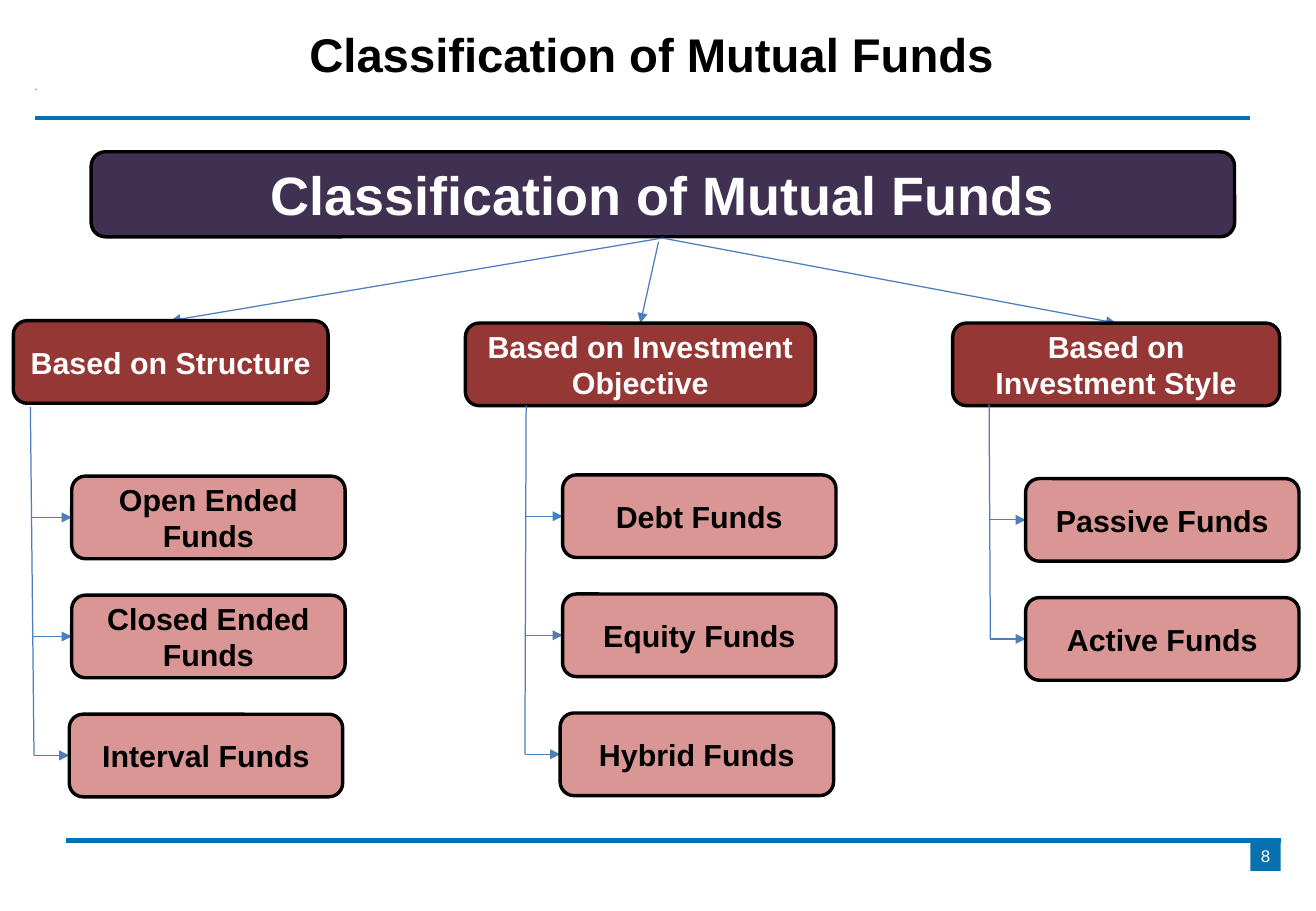
from lxml import etree
from pptx import Presentation
from pptx import util as u
from pptx.dml.color import RGBColor
from pptx.enum import shapes, text
from pptx.oxml.ns import qn

COLOURS = {
    "rule": "0771B0", "root": "403152", "branch": "953735", "fund": "D99694",
    "arrow": "4B7EBC", "black": "000000", "white": "FFFFFF",
}
FONT = "Arial"
BOX_HEIGHT, FUND_WIDTH, FUND_PITCH = 0.68, 2.25, 0.98

# heading, its left, top and width; where its arrow starts; trunk top and bottom x, trunk top y;
# top of the first fund; fund names with their left edges
BRANCHES = [
    ("Based on Structure", (0.11, 2.64, 2.59), (5.45, 1.96), (0.25, 0.28, 3.35), 3.92,
     [("Open Ended Funds", 0.59), ("Closed Ended Funds", 0.59), ("Interval Funds", 0.57)]),
    ("Based on Investment Objective", (3.83, 2.66, 2.88), (5.42, 1.99), (4.33, 4.32, 3.34), 3.91,
     [("Debt Funds", 4.63), ("Equity Funds", 4.63), ("Hybrid Funds", 4.61)]),
    ("Based on Investment Style", (7.84, 2.66, 2.69), (5.45, 1.96), (8.14, 8.15, 3.33), 3.94,
     [("Passive Funds", 8.44), ("Active Funds", 8.44)]),
]


def colour(name):
    return RGBColor.from_string(COLOURS[name])


def apply(target, values):
    for name, value in values.items():
        setattr(target, name, value)


class FundSlide:
    def __init__(self, presentation):
        self.slide = presentation.slides.add_slide(presentation.slide_layouts[5])

    def label(self, shape, words, size, ink, bold=True, insets=None, spacing=None):
        frame = shape.text_frame
        apply(frame, {"word_wrap": True, "auto_size": text.MSO_AUTO_SIZE.NONE,
                      "vertical_anchor": text.MSO_ANCHOR.MIDDLE})
        if insets is not None:
            apply(frame, {"margin_" + side: u.Inches(insets)
                          for side in ("left", "top", "right", "bottom")})
        paragraph = frame.paragraphs[0]
        apply(paragraph, {"alignment": text.PP_ALIGN.CENTER, "line_spacing": spacing})
        run = paragraph.add_run()
        run.text = words
        apply(run.font, {"name": FONT, "size": u.Pt(size), "bold": bold})
        run.font.color.rgb = colour(ink)

    def title(self, words, left, top, width, height):
        shape = self.slide.shapes.title
        apply(shape, {"left": u.Inches(left), "top": u.Inches(top),
                      "width": u.Inches(width), "height": u.Inches(height)})
        self.label(shape, words, 28, "black", insets=0, spacing=0.93)

    def block(self, kind, left, top, width, height, fill):
        shape = self.slide.shapes.add_shape(kind, *map(u.Inches, (left, top, width, height)))
        shape.shadow.inherit = False
        shape.fill.solid()
        shape.fill.fore_color.rgb = colour(fill)
        shape.line.fill.background()
        return shape

    def box(self, words, left, top, width, height, fill, ink="white", size=18):
        shape = self.block(shapes.MSO_SHAPE.ROUNDED_RECTANGLE, left, top, width, height, fill)
        shape.line.color.rgb = colour("black")
        shape.line.width = u.Pt(2)
        self.label(shape, words, size, ink)

    def line(self, start, end, ink="arrow", weight=0.75, arrow=False):
        connector = self.slide.shapes.add_connector(
            shapes.MSO_CONNECTOR.STRAIGHT, *map(u.Inches, (*start, *end)))
        connector.line.color.rgb = colour(ink)
        connector.line.width = u.Pt(weight)
        properties = connector._element.spPr
        if arrow:
            etree.SubElement(properties.find(qn("a:ln")), qn("a:tailEnd"), type="triangle")
        etree.SubElement(properties, qn("a:effectLst"))

    def branch(self, heading, place, arrow_start, trunk, first_top, funds):
        left, top, width = place
        self.line(arrow_start, (left + width / 2, top), arrow=True)
        self.box(heading, left, top, width, BOX_HEIGHT, "branch")

        trunk_top_x, trunk_bottom_x, trunk_top = trunk
        trunk_bottom = first_top + (len(funds) - 1) * FUND_PITCH + BOX_HEIGHT / 2
        self.line((trunk_top_x, trunk_top), (trunk_bottom_x, trunk_bottom))
        for index, (name, fund_left) in enumerate(funds):
            fund_top = first_top + index * FUND_PITCH
            middle = fund_top + BOX_HEIGHT / 2
            share = (middle - trunk_top) / (trunk_bottom - trunk_top)
            trunk_x = trunk_top_x + share * (trunk_bottom_x - trunk_top_x)
            self.line((trunk_x, middle), (fund_left, middle), arrow=True)
            self.box(name, fund_left, fund_top, FUND_WIDTH, BOX_HEIGHT, "fund", "black")


def main():
    presentation = Presentation()
    apply(presentation, {"slide_width": u.Inches(10.83), "slide_height": u.Inches(7.5)})
    slide = FundSlide(presentation)

    for left, top in ((0.29, 0.97), (0.54, 6.92)):
        slide.line((left, top), (left + 10, top), "rule", 2.5)
    slide.block(shapes.MSO_SHAPE.RECTANGLE, 0.29, 0.73, 0.01, 0.01, "rule")
    slide.title("Classification of Mutual Funds ", 0.54, 0.1, 9.75, 0.74)
    page_number = slide.block(shapes.MSO_SHAPE.RECTANGLE, 10.29, 6.92, 0.25, 0.25, "rule")
    slide.label(page_number, "8", 10, "white", bold=False, insets=0)

    slide.box("Classification of Mutual Funds", 0.75, 1.25, 9.41, 0.7, "root", size=32)
    for branch in BRANCHES:
        slide.branch(*branch)
    presentation.save("out.pptx")


if __name__ == "__main__":
    main()
